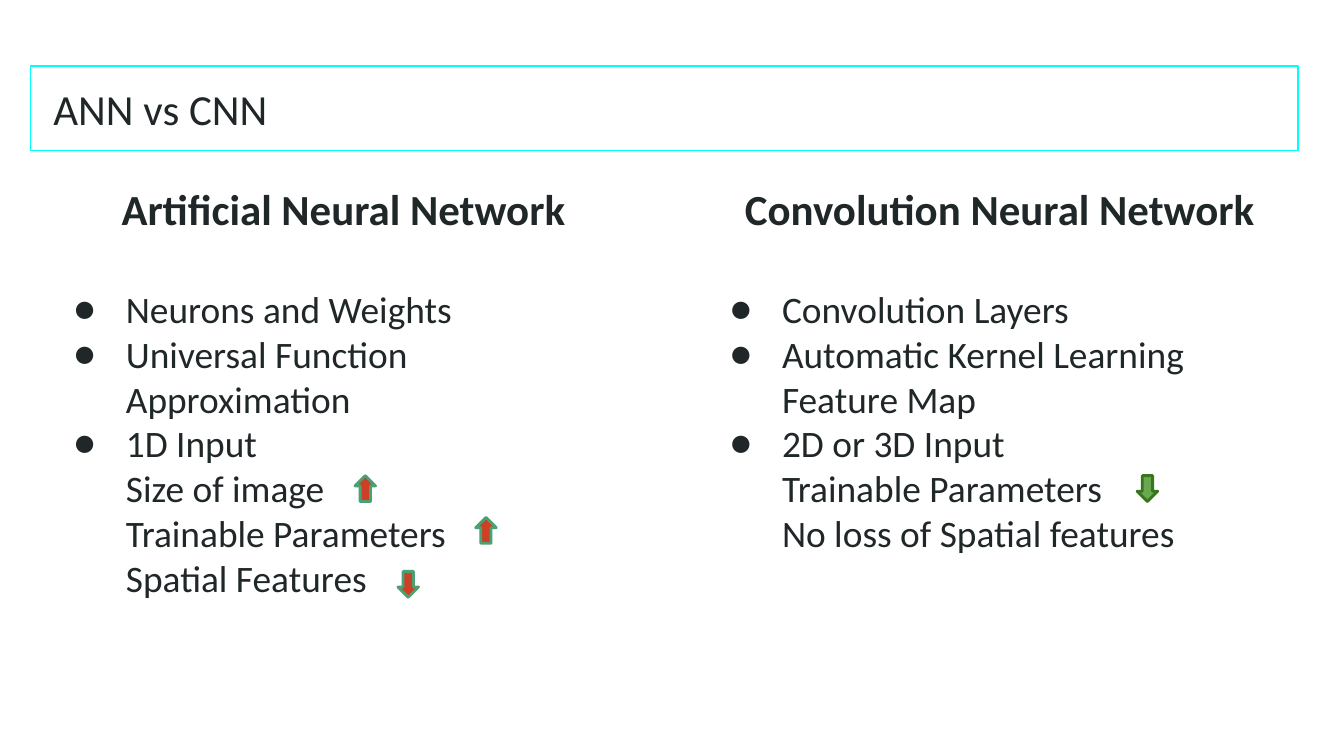
from lxml import etree
from pptx import Presentation
from pptx import util as u
from pptx.dml.color import RGBColor
from pptx.enum import shapes, text
from pptx.oxml.ns import qn

INK = RGBColor(0x20, 0x27, 0x29)
CYAN = RGBColor(0x00, 0xFF, 0xFF)
RED = RGBColor(0xCC, 0x41, 0x25)
TEAL = RGBColor(0x4B, 0xA1, 0x73)
GREEN = RGBColor(0x6A, 0xA8, 0x4F)
DARK = RGBColor(0x38, 0x76, 0x1D)

LEFT = ["Neurons and Weights",
        "Universal Function Approximation",
        "1D Input\nSize of image\nTrainable Parameters\nSpatial Features"]
RIGHT = ["Convolution Layers",
         "Automatic Kernel Learning\nFeature Map",
         "2D or 3D Input\nTrainable Parameters\nNo loss of Spatial features"]


def write(par, words, size=20, bold=False, align=text.PP_ALIGN.LEFT, after=0):
    """Fill a paragraph; a newline in the words becomes a line break."""
    par.text = words
    par.alignment = align
    par.space_before = u.Pt(0)
    par.space_after = u.Pt(after)
    for run in par.runs:
        run.font.name = "Calibri"
        run.font.size = u.Pt(size)
        run.font.bold = bold
        run.font.color.rgb = INK


def add_bullet(par):
    props = par._p.get_or_add_pPr()
    props.set("marL", str(u.Cm(1.27)))
    props.set("indent", str(-u.Cm(0.99)))
    color = etree.SubElement(props, qn("a:buClr"))
    etree.SubElement(color, qn("a:srgbClr"), val=str(INK))
    etree.SubElement(props, qn("a:buFont"), typeface="Calibri")
    etree.SubElement(props, qn("a:buChar"), char="●")


def set_frame(frame, anchor, left=0.25):
    frame.word_wrap = True
    frame.auto_size = text.MSO_AUTO_SIZE.NONE
    frame.vertical_anchor = anchor
    frame.margin_left = u.Cm(left)
    frame.margin_right = frame.margin_top = frame.margin_bottom = u.Cm(0.25)


def add_title(slide, words):
    title = slide.shapes.title
    title.left, title.top = u.Cm(0.58), u.Cm(1.25)
    title.width, title.height = u.Cm(23.95), u.Cm(1.6)
    title.line.color.rgb = CYAN
    title.line.width = u.Pt(0.75)
    set_frame(title.text_frame, text.MSO_ANCHOR.MIDDLE, left=0.43)
    write(title.text_frame.paragraphs[0], words, size=23)


def add_column(slide, left, head, items):
    box = slide.shapes.add_textbox(u.Cm(left), u.Cm(3.2), u.Cm(11.28), u.Cm(9.5))
    frame = box.text_frame
    set_frame(frame, text.MSO_ANCHOR.TOP)
    write(frame.paragraphs[0], head, size=23, bold=True,
          align=text.PP_ALIGN.CENTER, after=28)
    for item in items:
        par = frame.add_paragraph()
        write(par, item)
        add_bullet(par)


def add_arrow(slide, left, top, fill, line, turn=0):
    arrow = slide.shapes.add_shape(shapes.MSO_SHAPE.UP_ARROW, u.Cm(left),
                                   u.Cm(top), u.Cm(0.39), u.Cm(0.49))
    arrow.shadow.inherit = False
    arrow.rotation = turn
    arrow.fill.solid()
    arrow.fill.fore_color.rgb = fill
    arrow.line.color.rgb = line
    arrow.line.width = u.Pt(1.5)


def main():
    deck = Presentation()
    deck.slide_width, deck.slide_height = u.Cm(25.4), u.Cm(14.29)
    slide = deck.slides.add_slide(deck.slide_layouts[5])
    add_title(slide, "ANN vs CNN")
    add_column(slide, 0.86, "Artificial Neural Network", LEFT)
    add_column(slide, 13.26, "Convolution Neural Network", RIGHT)
    add_arrow(slide, 6.71, 8.99, RED, TEAL)
    add_arrow(slide, 8.99, 9.78, RED, TEAL)
    add_arrow(slide, 7.52, 10.8, RED, TEAL, turn=180)
    add_arrow(slide, 21.49, 8.99, GREEN, DARK, turn=180)
    deck.save("out.pptx")


if __name__ == "__main__":
    main()
